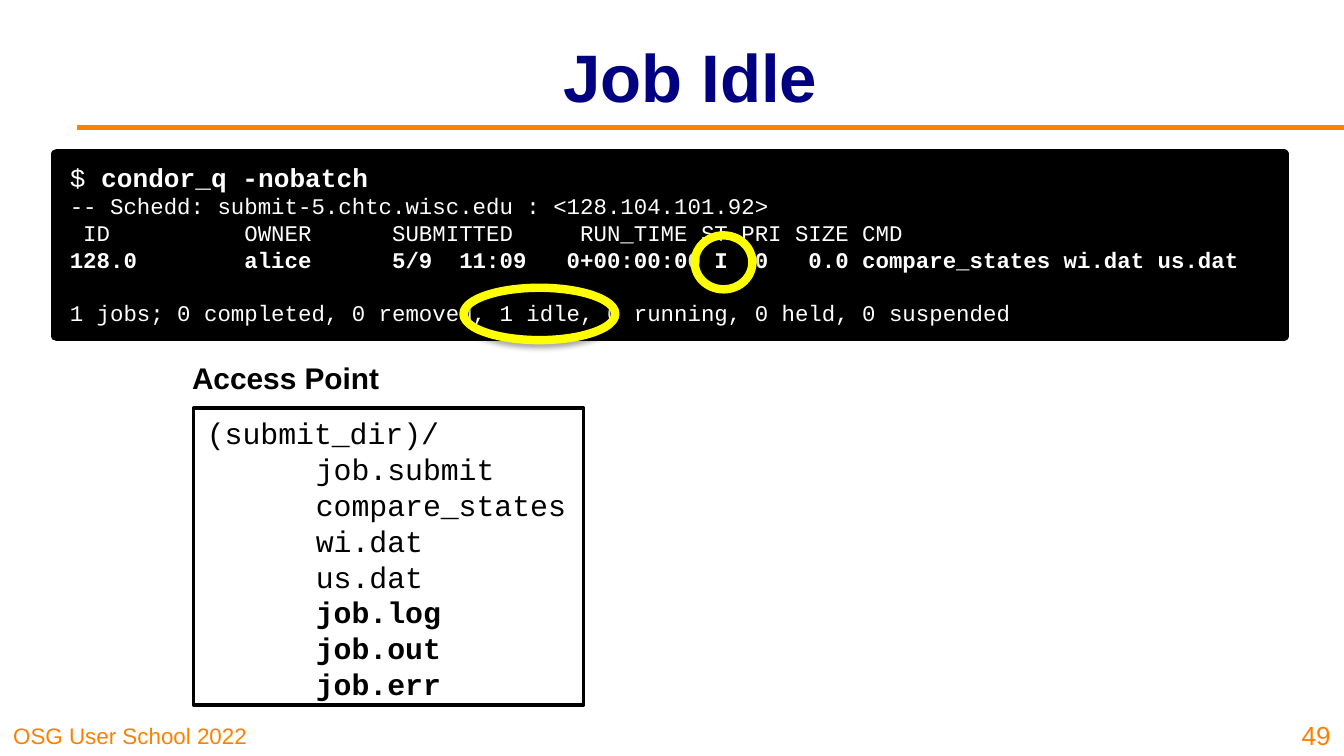
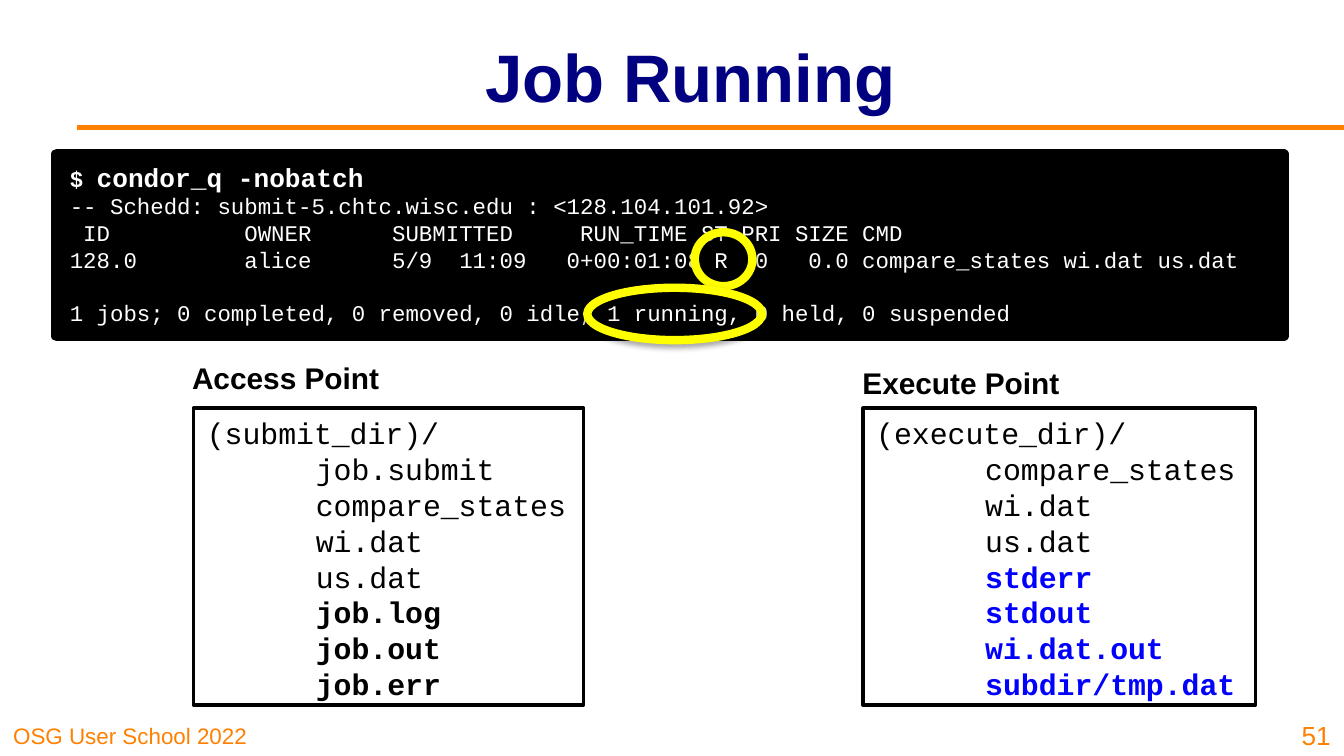
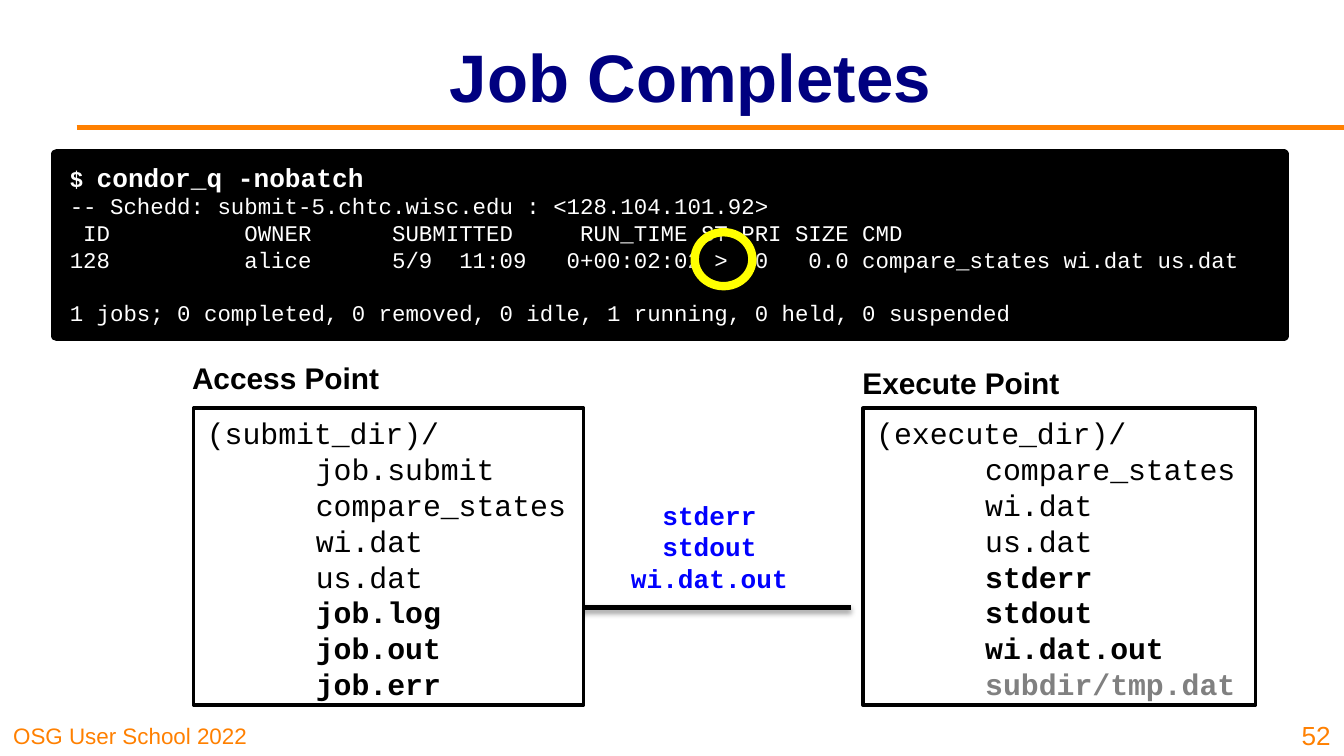
from lxml.etree import SubElement
from pptx import Presentation
from pptx.dml.color import RGBColor
from pptx.enum.shapes import MSO_CONNECTOR, MSO_SHAPE
from pptx.enum.text import MSO_ANCHOR as Anchor, MSO_AUTO_SIZE, PP_ALIGN as Align
from pptx.oxml.ns import qn
from pptx.util import Cm, Pt

ORANGE = RGBColor(0xFF, 0x80, 0x00)
NAVY = RGBColor(0x00, 0x00, 0x80)
BLUE = RGBColor(0x01, 0x00, 0xFE)
GRAY = RGBColor(0x80, 0x80, 0x80)
YELLOW = RGBColor(0xFF, 0xFF, 0x00)
BLACK = RGBColor(0x00, 0x00, 0x00)
WHITE = RGBColor(0xFF, 0xFF, 0xFF)

SANS, MONO = "Arial", "Courier New"
BOLD = {"bold": True}
NEW_FILE = {"bold": True, "color": BLUE}
DROPPED_FILE = {"bold": True, "color": GRAY}

TITLE_STYLE = {"name": SANS, "size": Pt(36), "bold": True, "color": NAVY}
LABEL_STYLE = {"name": SANS, "size": Pt(16), "bold": True, "color": BLACK}
FOOTER_STYLE = {"name": SANS, "size": Pt(12), "color": ORANGE}
NUMBER_STYLE = {"name": SANS, "size": Pt(14), "color": ORANGE}
FILE_STYLE = {"name": MONO, "size": Pt(16), "color": BLACK}
TERMINAL_STYLE = {"name": MONO, "size": Pt(12), "color": WHITE}
TRANSFER_STYLE = {"name": MONO, "size": Pt(14), "bold": True, "color": BLUE}

SUBMIT_FILES = [("job.submit", {}), ("compare_states", {}), ("wi.dat", {}), ("us.dat", {}),
                ("job.log", BOLD), ("job.out", BOLD), ("job.err", BOLD)]
INPUT_FILES = [("compare_states", {}), ("wi.dat", {}), ("us.dat", {})]
OUTPUT_FILES = ["stderr", "stdout", "wi.dat.out"]
SCRATCH_FILE = "subdir/tmp.dat"

STATUS_RING = (13.13, 4.39, 1.09, 1.02)


def add_span(para, text, style):
    span = para.add_run()
    span.text = text
    for key, value in style.items():
        if key == "color":
            span.font.color.rgb = value
        else:
            setattr(span.font, key, value)


def write_lines(shape, lines, style, align=Align.LEFT, anchor=Anchor.TOP):
    frame = shape.text_frame
    frame.word_wrap = True
    frame.vertical_anchor = anchor
    for index, spans in enumerate(lines):
        para = frame.add_paragraph() if index else frame.paragraphs[0]
        para.alignment = align
        for text, changes in spans:
            add_span(para, text, {**style, **changes})
    return frame.paragraphs


def add_label(page, place, text, style, align=Align.LEFT, anchor=Anchor.MIDDLE):
    box = page.shapes.add_textbox(*map(Cm, place))
    write_lines(box, [[(text, {})]], style, align, anchor)


def add_box(page, place, fill, line, width):
    box = page.shapes.add_shape(MSO_SHAPE.RECTANGLE, *map(Cm, place))
    box.shadow.inherit = False
    box.fill.solid()
    box.fill.fore_color.rgb = fill
    box.line.color.rgb = line
    box.line.width = Pt(width)
    return box


def cast_shadow(shape, alpha):
    properties = shape._element.spPr
    effects = properties.find(qn("a:effectLst"))
    if effects is None:
        effects = SubElement(properties, qn("a:effectLst"))
    shadow = SubElement(effects, qn("a:outerShdw"), blurRad=str(Pt(3.1)),
                        dist=str(Pt(1.7)), dir="5400000", rotWithShape="0")
    color = SubElement(shadow, qn("a:srgbClr"), val=str(BLACK))
    SubElement(color, qn("a:alpha"), val=str(alpha * 1000))


def add_line(page, start, end, color):
    line = page.shapes.add_connector(MSO_CONNECTOR.STRAIGHT, *map(Cm, start + end))
    line.line.color.rgb = color
    line.line.width = Pt(3)
    SubElement(line._element.spPr, qn("a:effectLst"))
    return line


def add_ring(page, place):
    ring = page.shapes.add_shape(MSO_SHAPE.OVAL, *map(Cm, place))
    ring.shadow.inherit = False
    ring.fill.background()
    ring.line.color.rgb = YELLOW
    ring.line.width = Pt(4.5)
    cast_shadow(ring, 35)


def add_terminal(page, job, summary, prompt_style=None, job_style=None):
    box = add_box(page, (1.07, 2.92, 23.19, 3.43), BLACK, BLACK, 6)
    SubElement(box.line._get_or_add_ln(), qn("a:round"))
    lines = [
        [("$ ", prompt_style or BOLD), ("condor_q -nobatch", {"size": Pt(14), "bold": True})],
        [("-- Schedd: submit-5.chtc.wisc.edu : <128.104.101.92>", {})],
        [(" ID          OWNER      SUBMITTED     RUN_TIME ST PRI SIZE CMD", {})],
        [(job, job_style or {})],
        [(summary, {})],
    ]
    paras = write_lines(box, lines, TERMINAL_STYLE)
    paras[-1].space_before = Pt(14)
    box.text_frame.auto_size = MSO_AUTO_SIZE.SHAPE_TO_FIT_TEXT


def add_directory(page, place, label_place, label, folder, files):
    box = add_box(page, place, WHITE, BLACK, 2)
    SubElement(box.line._get_or_add_ln(), qn("a:round"))
    lines = [[(folder, {})]] + [[entry] for entry in files]
    for para in write_lines(box, lines, FILE_STYLE)[1:]:
        para._p.get_or_add_pPr().set("marL", str(Cm(2.06)))
    add_label(page, label_place, label, LABEL_STYLE)


def add_access_point(page):
    add_directory(page, (3.66, 7.72, 7.37, 5.61), (3.38, 6.6, 4.27, 1.09),
                  "Access Point", "(submit_dir)/", SUBMIT_FILES)


def add_execute_point(page, output_style, scratch_style):
    files = INPUT_FILES + [(name, output_style) for name in OUTPUT_FILES]
    add_directory(page, (16.31, 7.72, 7.42, 5.61), (16.05, 6.68, 4.27, 1.09),
                  "Execute Point", "(execute_dir)/", files + [(SCRATCH_FILE, scratch_style)])


def add_transfer(page):
    box = add_box(page, (11.53, 9.07, 3.76, 2.51), WHITE, WHITE, 2)
    write_lines(box, [[(name, {})] for name in OUTPUT_FILES], TRANSFER_STYLE,
                Align.CENTER, Anchor.MIDDLE)
    arrow = add_line(page, (16.08, 11.48), (10.67, 11.48), BLACK)
    SubElement(arrow.line._get_or_add_ln(), qn("a:tailEnd"), type="arrow")
    cast_shadow(arrow, 38)


def add_page(deck, title, number):
    page = deck.slides.add_slide(deck.slide_layouts[6])
    add_label(page, (0, 13.49, 6.3, 0.79), "OSG User School 2022", FOOTER_STYLE,
              anchor=Anchor.BOTTOM)
    add_line(page, (1.45, 2.41), (25.4, 2.41), ORANGE)
    add_label(page, (3.4, 0.23, 19.3, 2.39), title, TITLE_STYLE, Align.CENTER)
    add_label(page, (24.23, 13.34, 1.17, 0.97), str(number), NUMBER_STYLE,
              Align.RIGHT, Anchor.BOTTOM)
    return page


def build_idle(deck):
    page = add_page(deck, "Job Idle", 49)
    add_terminal(
        page,
        "128.0        alice      5/9  11:09   0+00:00:00 I  0   0.0 compare_states wi.dat us.dat",
        "1 jobs; 0 completed, 0 removed, 1 idle, 0 running, 0 held, 0 suspended",
        prompt_style={"size": Pt(14)}, job_style=BOLD)
    add_ring(page, (13.13, 4.45, 1.09, 1.02))
    add_ring(page, (8.76, 5.44, 2.87, 0.99))
    add_access_point(page)


def build_running(deck):
    page = add_page(deck, "Job Running", 51)
    add_terminal(
        page,
        "128.0        alice      5/9  11:09   0+00:01:08 R  0   0.0 compare_states wi.dat us.dat",
        "1 jobs; 0 completed, 0 removed, 0 idle, 1 running, 0 held, 0 suspended")
    add_ring(page, STATUS_RING)
    add_ring(page, (11.1, 5.44, 3.3, 0.99))
    add_access_point(page)
    add_execute_point(page, NEW_FILE, NEW_FILE)


def build_completes(deck):
    page = add_page(deck, "Job Completes", 52)
    add_transfer(page)
    add_terminal(
        page,
        "128          alice      5/9  11:09   0+00:02:02 >  0   0.0 compare_states wi.dat us.dat",
        "1 jobs; 0 completed, 0 removed, 0 idle, 1 running, 0 held, 0 suspended")
    add_ring(page, STATUS_RING)
    add_execute_point(page, BOLD, DROPPED_FILE)
    add_access_point(page)


def main():
    deck = Presentation()
    deck.slide_width = Cm(25.4)
    deck.slide_height = Cm(14.29)
    for build in (build_idle, build_running, build_completes):
        build(deck)
    deck.save("out.pptx")


if __name__ == "__main__":
    main()
